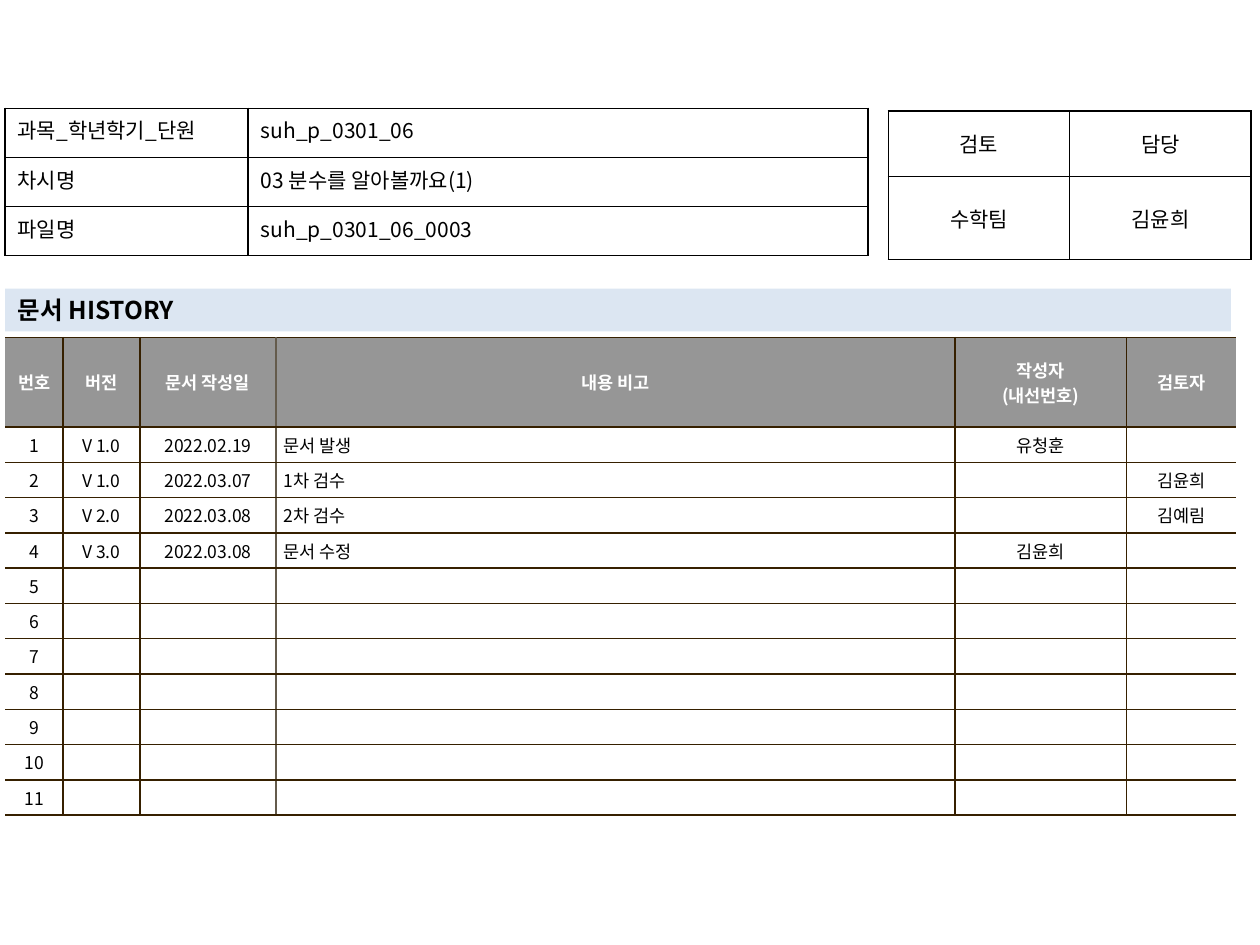
from dataclasses import dataclass

from lxml.etree import SubElement
from pptx import Presentation
from pptx.dml.color import RGBColor
from pptx.enum.text import MSO_ANCHOR as Anchor, MSO_AUTO_SIZE as AutoSize, PP_ALIGN as Align
from pptx.oxml.ns import qn
from pptx.util import Inches, Pt


@dataclass(frozen=True)
class Theme:
    font: str = "Noto Sans CJK KR"
    text: str = "000000"
    white: str = "FFFFFF"
    band: str = "DCE6F2"
    header: str = "969696"
    grid: str = "362000"
    soft_grid: str = "645B4C"
    title_size: int = 14
    info_size: int = 12
    history_size: int = 10
    line: float = 1


THEME = Theme()

INFO = [
    ("과목_학년학기_단원 ", "suh_p_0301_06"),
    ("차시명", "03 분수를 알아볼까요(1)"),
    ("파일명", "suh_p_0301_06_0003"),
]
REVIEW = [("검토", "담당"), ("수학팀", "김윤희")]
HEADINGS = ("번호", "버전", "문서 작성일", "내용 비고", "작성자\n(내선번호)", "검토자")
ENTRIES = [
    ("V 1.0", "2022.02.19", "문서 발생", "유청훈", ""),
    ("V 1.0", "2022.03.07", "1차 검수", "", "김윤희"),
    ("V 2.0", "2022.03.08", "2차 검수", "", "김예림"),
    ("V 3.0", "2022.03.08", "문서 수정", "김윤희", ""),
]
ENTRY_ROWS = 11
DATE_COLUMN, NOTE_COLUMN = 2, 3


def style_text(text_frame, size, color=THEME.text, bold=False, align=Align.LEFT):
    for paragraph in text_frame.paragraphs:
        paragraph.alignment = align
        font = paragraph.font
        font.name = THEME.font
        font.size = Pt(size)
        font.bold = bold
        font.color.rgb = RGBColor.from_string(color)
        properties = paragraph._p.pPr.find(qn("a:defRPr"))
        SubElement(properties, qn("a:ea"), typeface=THEME.font)
        if not paragraph.runs:
            paragraph._p.get_or_add_endParaRPr().set("sz", str(size * 100))


def set_borders(cell, left, right, top, bottom):
    properties = cell._tc.get_or_add_tcPr()
    for side, color in zip("LRTB", (left, right, top, bottom)):
        line = SubElement(properties, qn(f"a:ln{side}"), w=str(Pt(THEME.line)))
        if color:
            fill = SubElement(line, qn("a:solidFill"))
            SubElement(fill, qn("a:srgbClr"), val=color)
        else:
            SubElement(line, qn("a:noFill"))


def add_grid(slide, box, widths, heights, rows):
    shape = slide.shapes.add_table(len(heights), len(widths), *map(Inches, box))
    table = shape.table
    table.first_row = table.horz_banding = False
    for column, width in zip(table.columns, widths):
        column.width = Inches(width)
    for row, height in zip(table.rows, heights):
        row.height = Inches(height)
    for row, texts in zip(table.rows, rows):
        for cell, text in zip(row.cells, texts):
            cell.text_frame.text = text
    return table


def add_form_table(slide, box, widths, heights, rows, anchor, aligns):
    table = add_grid(slide, box, widths, heights, rows)
    for row in table.rows:
        for cell, align in zip(row.cells, aligns):
            cell.vertical_anchor = anchor
            style_text(cell.text_frame, THEME.info_size, align=align)
            set_borders(cell, *[THEME.text] * 4)
            cell.fill.background()


def add_title_band(slide, box):
    title = slide.shapes.title
    title.left, title.top, title.width, title.height = map(Inches, box)
    title.fill.solid()
    title.fill.fore_color.rgb = RGBColor.from_string(THEME.band)
    text_frame = title.text_frame
    text_frame.text = "문서 HISTORY"
    text_frame.auto_size = AutoSize.NONE
    text_frame.vertical_anchor = Anchor.MIDDLE
    style_text(text_frame, THEME.title_size, bold=True)


def add_history_table(slide, box):
    widths = [0.46, 0.61, 1.08, 5.39, 1.36, 0.87]
    heights = [0.71] + [0.28] * ENTRY_ROWS
    blank = ("",) * (len(HEADINGS) - 1)
    entries = ENTRIES + [blank] * (ENTRY_ROWS - len(ENTRIES))
    rows = [HEADINGS] + [(str(number), *entry) for number, entry in enumerate(entries, 1)]
    table = add_grid(slide, box, widths, heights, rows)
    dividers = [None] + [THEME.grid] * (len(widths) - 1) + [None]
    dividers[NOTE_COLUMN] = THEME.soft_grid

    for row_index, row in enumerate(table.rows):
        heading = row_index == 0
        for column, cell in enumerate(row.cells):
            cell.vertical_anchor = Anchor.MIDDLE
            cell.margin_left = cell.margin_right = Inches(0.06)
            cell.margin_top = cell.margin_bottom = Inches(0.04)
            note = column == NOTE_COLUMN and not heading
            style_text(
                cell.text_frame,
                THEME.history_size,
                color=THEME.white if heading else THEME.text,
                bold=heading,
                align=Align.LEFT if note else Align.CENTER,
            )
            set_borders(cell, dividers[column], dividers[column + 1], THEME.grid, THEME.grid)
            cell.fill.solid()
            fill = THEME.header if heading else THEME.white
            cell.fill.fore_color.rgb = RGBColor.from_string(fill)


def main():
    presentation = Presentation()
    presentation.slide_width = Inches(10)
    presentation.slide_height = Inches(7.5)
    slide = presentation.slides.add_slide(presentation.slide_layouts.get_by_name("Title Only"))
    add_history_table(slide, (0.04, 2.68, 9.77, 3.79))
    add_form_table(
        slide, (7.05, 0.88, 2.88, 1.18), [1.44] * 2, [0.52, 0.66], REVIEW,
        Anchor.MIDDLE, [Align.CENTER] * 2,
    )
    add_title_band(slide, (0.04, 2.29, 9.73, 0.34))
    add_form_table(
        slide, (0.04, 0.86, 6.85, 1.18), [1.93, 4.92], [0.39] * 3, INFO,
        Anchor.TOP, [Align.JUSTIFY, Align.LEFT],
    )
    presentation.save("out.pptx")


if __name__ == "__main__":
    main()
